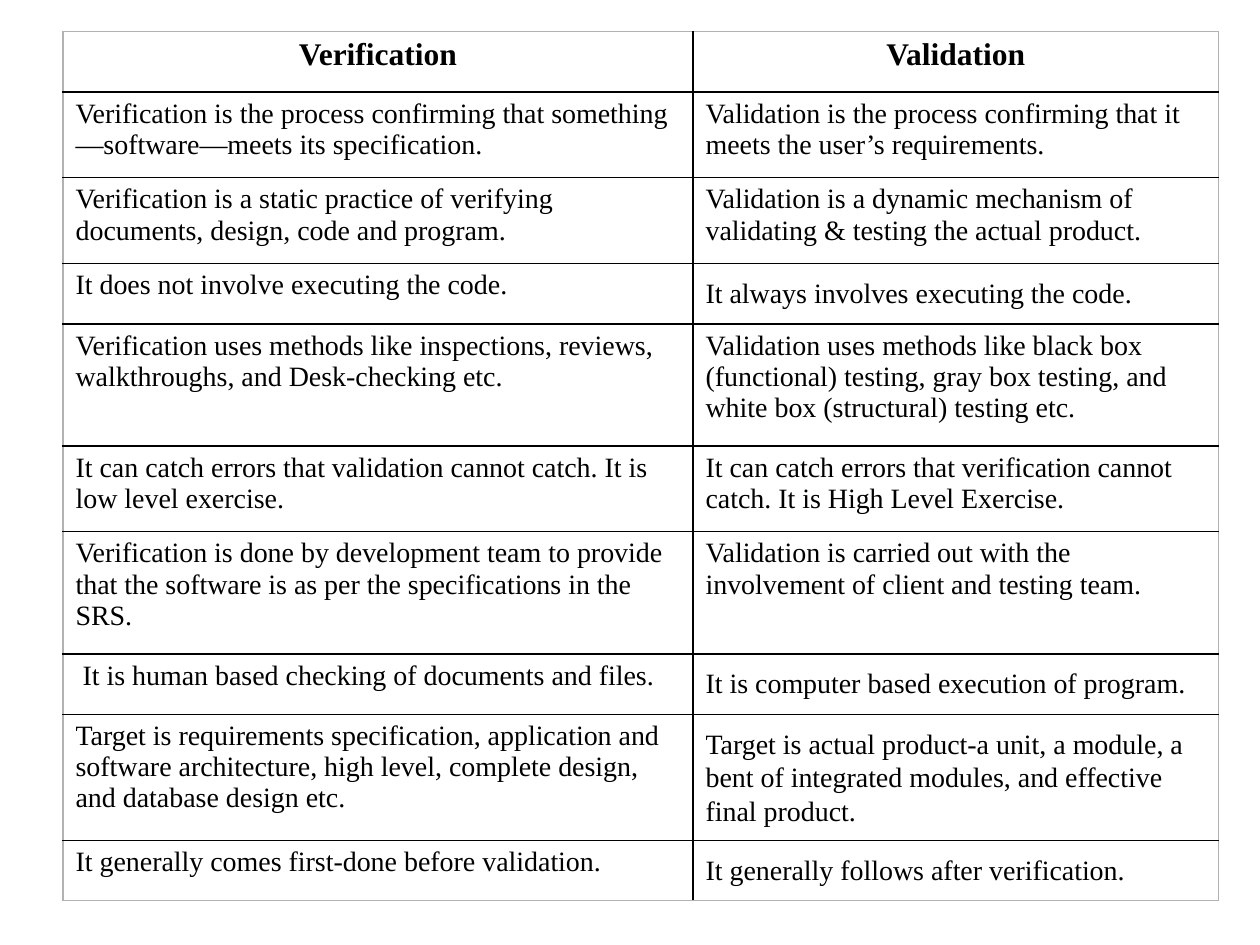
from dataclasses import dataclass

from lxml import etree
from pptx import Presentation
from pptx.dml.color import RGBColor
from pptx.enum.text import PP_ALIGN
from pptx.oxml.ns import qn
from pptx.util import Inches, Pt

CENTER, LEFT = PP_ALIGN.CENTER, PP_ALIGN.LEFT
BLANK_LAYOUT = 6


@dataclass(frozen=True)
class Theme:
    font: str = "Times New Roman"
    text: str = "000000"
    inner_border: str = "000000"
    outer_border: str = "B2B2B2"
    border_width: float = 1
    heading_size: float = 18
    body_size: float = 16


THEME = Theme()

# Content: row height, verification, validation
HEADINGS = ("Verification", "Validation")
ROWS = [
    (0.48, *HEADINGS),
    (0.68, "Verification is the process confirming that something—software—meets its specification.",
     "Validation is the process confirming that it meets the user’s requirements."),
    (0.68, "Verification is a static practice of verifying documents, design, code and program.",
     "Validation is a dynamic mechanism of validating & testing the actual product."),
    (0.48, "It does not involve executing the code.",
     "It always involves executing the code."),
    (0.97, "Verification uses methods like inspections, reviews, walkthroughs, and Desk-checking etc.",
     "Validation uses methods like black box (functional) testing, gray box testing, "
     "and white box (structural) testing etc."),
    (0.68, "It can catch errors that validation cannot catch. It is low level exercise.",
     "It can catch errors that verification cannot catch. It is High Level Exercise."),
    (0.97, "Verification is done by development team to provide that the software is as per "
     "the specifications in the SRS.",
     "Validation is carried out with the involvement of client and testing team."),
    (0.48, " It is human based checking of documents and files.",
     "It is computer based execution of program."),
    (1.0, "Target is requirements specification, application and software architecture, "
     "high level, complete design, and database design etc.",
     "Target is actual product-a unit, a module, a bent of integrated modules, "
     "and effective final product."),
    (0.48, "It generally comes first-done before validation.",
     "It generally follows after verification."),
]
COLUMN_WIDTHS = (5, 4.17)
TABLE_LEFT, TABLE_TOP = 0.5, 0.25
SPACED_ROWS = {3, 7, 8, 9}  # validation cells with wider margins and fixed line height


def set_borders(cell, row, column):
    """Grey around the table, black between the cells."""
    outer_edges = {
        "a:lnL": column == 0,
        "a:lnR": column == len(COLUMN_WIDTHS) - 1,
        "a:lnT": row == 0,
        "a:lnB": row == len(ROWS) - 1,
    }
    properties = cell._tc.get_or_add_tcPr()
    for position, (tag, is_outer) in enumerate(outer_edges.items()):
        line = etree.Element(qn(tag), w=str(Pt(THEME.border_width)))
        fill = etree.SubElement(line, qn("a:solidFill"))
        color = THEME.outer_border if is_outer else THEME.inner_border
        etree.SubElement(fill, qn("a:srgbClr"), val=color)
        properties.insert(position, line)


def fill_cell(cell, text, row, column):
    is_heading = row == 0
    cell.fill.background()
    cell.text = text
    paragraph = cell.text_frame.paragraphs[0]
    paragraph.alignment = CENTER if is_heading else LEFT
    font = paragraph.font
    font.name = THEME.font
    font.size = Pt(THEME.heading_size if is_heading else THEME.body_size)
    font.bold = is_heading
    font.color.rgb = RGBColor.from_string(THEME.text)
    if column == 1 and row in SPACED_ROWS:
        cell.margin_top = cell.margin_bottom = Inches(0.1)
        paragraph.line_spacing = Pt(19.2)
        paragraph.space_after = Pt(16.5)
    set_borders(cell, row, column)


def main():
    presentation = Presentation()
    presentation.slide_width, presentation.slide_height = Inches(10), Inches(7.5)
    slide = presentation.slides.add_slide(presentation.slide_layouts[BLANK_LAYOUT])

    # Comparison table
    heights = [row[0] for row in ROWS]
    table = slide.shapes.add_table(
        len(ROWS), len(COLUMN_WIDTHS), Inches(TABLE_LEFT), Inches(TABLE_TOP),
        Inches(sum(COLUMN_WIDTHS)), Inches(sum(heights))).table
    table.first_row = table.horz_banding = False
    for column, width in zip(table.columns, COLUMN_WIDTHS):
        column.width = Inches(width)
    for row, (height, *texts) in enumerate(ROWS):
        table.rows[row].height = Inches(height)
        for column, text in enumerate(texts):
            fill_cell(table.cell(row, column), text, row, column)

    presentation.save("out.pptx")


if __name__ == "__main__":
    main()
